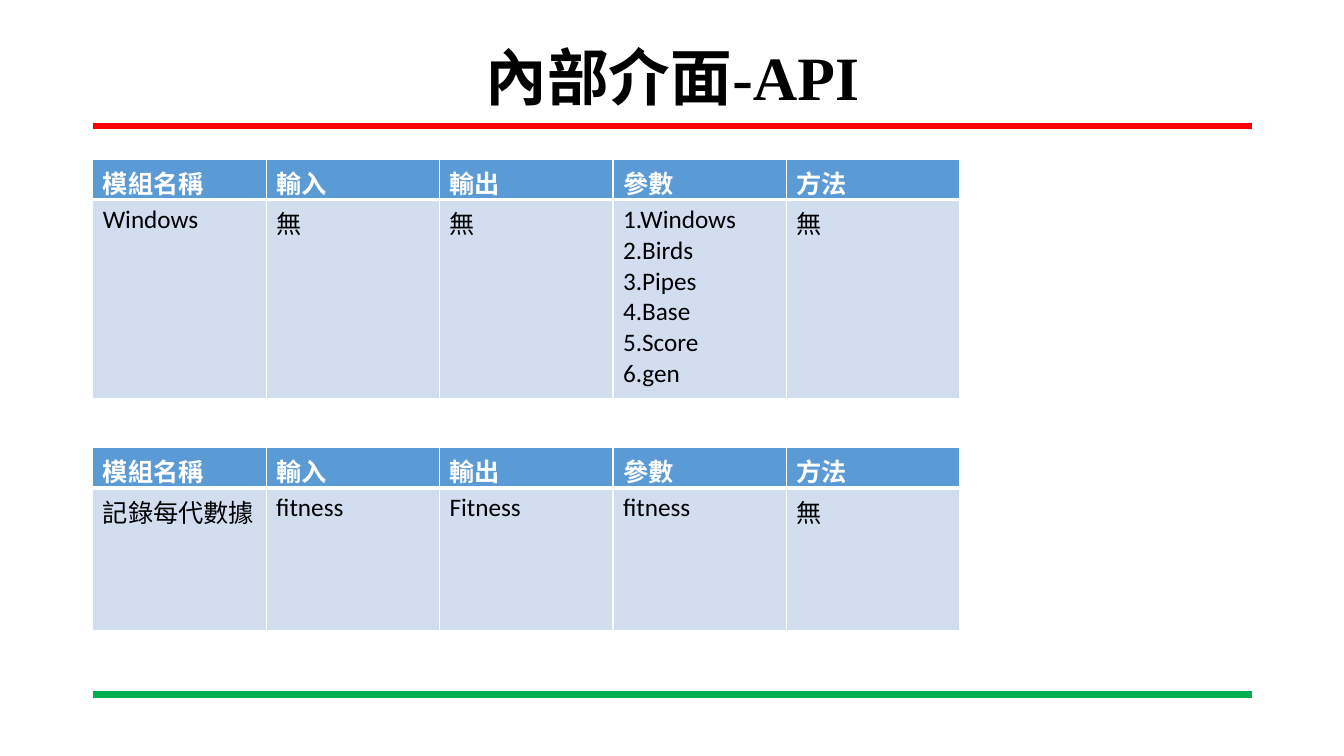
import pptx
import pptx.util
import pptx.dml.color
import pptx.enum.shapes
import pptx.enum.text
import pptx.oxml
import pptx.oxml.ns

Inches, Pt = pptx.util.Inches, pptx.util.Pt
LEFT, WIDTH = 0.92, 11.5
COLS, COL_W = 5, 1.72
HEADER_H = 0.36


def rgb(value):
    return pptx.dml.color.RGBColor.from_string(value)


def set_font(font, color, **values):
    for name, value in values.items():
        setattr(font, name, value)
    font.color.rgb = rgb(color)


prs = pptx.Presentation()
prs.slide_width, prs.slide_height = Inches(13.33), Inches(7.5)
s = prs.slides.add_slide(prs.slide_layouts[6])

for y, color in [(1.25, "FF0000"), (6.89, "00B050")]:
    line = s.shapes.add_connector(
        pptx.enum.shapes.MSO_CONNECTOR.STRAIGHT,
        Inches(LEFT), Inches(y), Inches(LEFT + WIDTH), Inches(y))
    line.line.width = Pt(4.5)
    line.line.color.rgb = rgb(color)
    pptx.oxml.ns.qn("a:effectLst")
    line._element.spPr.append(pptx.oxml.parse_xml(
        f'<a:effectLst {pptx.oxml.ns.nsdecls("a")}/>'))

tf = s.shapes.add_textbox(Inches(LEFT), Inches(0.4), Inches(WIDTH), Inches(0.79)).text_frame
tf.word_wrap = True
tf.vertical_anchor = pptx.enum.text.MSO_ANCHOR.MIDDLE
p = tf.paragraphs[0]
p.alignment = pptx.enum.text.PP_ALIGN.CENTER
p.line_spacing = 0.9
r = p.add_run()
r.text = "內部介面-API"
set_font(r.font, "000000", name="Times New Roman", size=Pt(44), bold=True)

header = ["模組名稱", "輸入", "輸出", "參數", "方法"]
tables = [
    (1.58, 1.97, ["Windows", "無", "無",
                  "1.Windows\n2.Birds\n3.Pipes\n4.Base\n5.Score\n6.gen", "無"]),
    (4.44, 1.42, ["記錄每代數據", "fitness", "Fitness", "fitness", "無"]),
]
row_styles = [
    dict(fill="5B9BD5", color="FFFFFF", bold=True, borders=dict(L=1, R=1, T=1, B=3)),
    dict(fill="D2DEEF", color="000000", bold=False, borders=dict(L=1, R=1, T=3, B=1)),
]

for top, body_h, body in tables:
    table = s.shapes.add_table(
        2, COLS, Inches(LEFT), Inches(top),
        Inches(COLS * COL_W), Inches(HEADER_H + body_h)).table
    for col in table.columns:
        col.width = Inches(COL_W)
    for row, height, texts, style in zip(table.rows, [HEADER_H, body_h], [header, body], row_styles):
        row.height = Inches(height)
        for i, (cell, text) in enumerate(zip(row.cells, texts)):
            cell.text = text
            name = "Times New Roman" if texts is header and i else "Calibri"
            for p in cell.text_frame.paragraphs:
                for r in p.runs:
                    set_font(r.font, style["color"], name=name, size=Pt(18), bold=style["bold"])
            tcPr = cell._tc.get_or_add_tcPr()
            for side, width in style["borders"].items():
                tcPr.append(pptx.oxml.parse_xml(
                    f'<a:ln{side} {pptx.oxml.ns.nsdecls("a")} w="{Pt(width)}"><a:solidFill>'
                    f'<a:srgbClr val="FFFFFF"/></a:solidFill></a:ln{side}>'))
            cell.fill.solid()
            cell.fill.fore_color.rgb = rgb(style["fill"])

prs.save("out.pptx")
